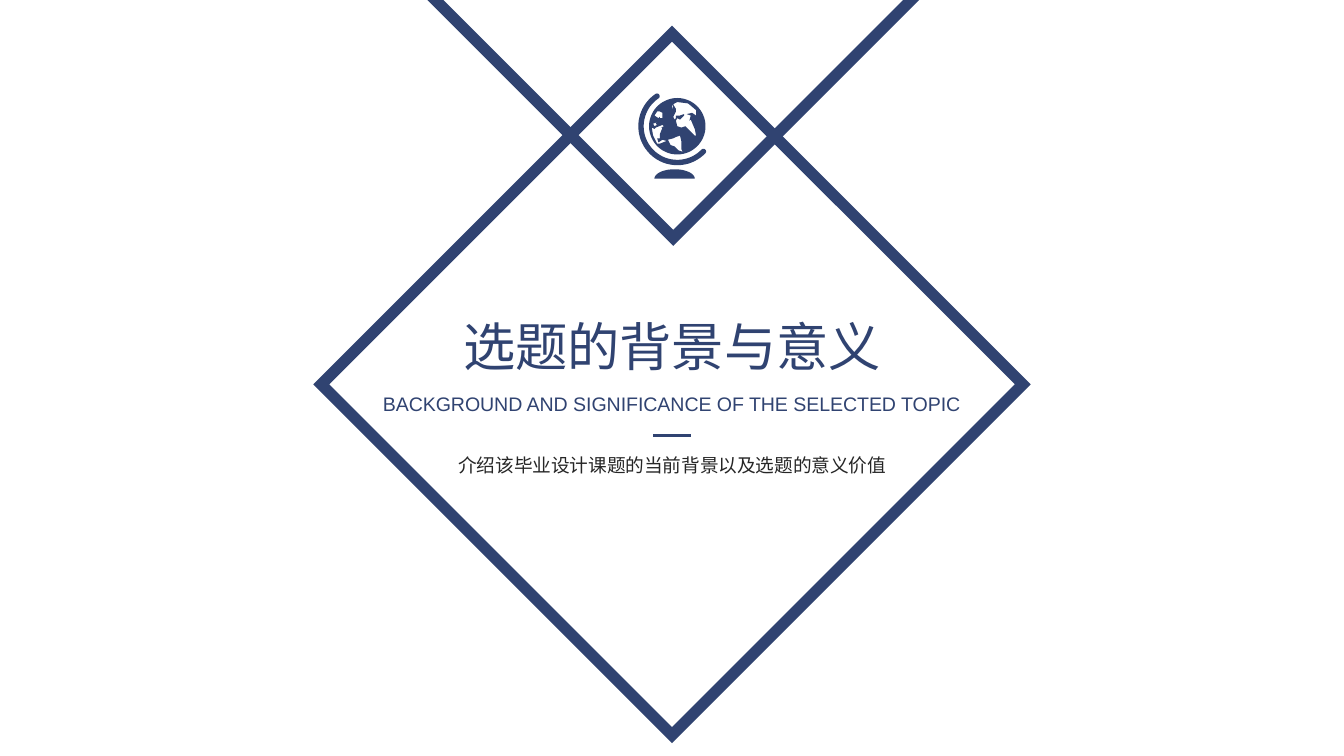
import math
import pptx
import pptx.dml.color
import pptx.enum.shapes
import pptx.enum.text
import pptx.oxml.ns
import pptx.util
from lxml import etree

Inches, Pt = pptx.util.Inches, pptx.util.Pt
NAVY = pptx.dml.color.RGBColor(0x30, 0x43, 0x71)
CHARCOAL = pptx.dml.color.RGBColor(0x26, 0x26, 0x26)
HAN, LATIN = "Noto Sans CJK SC", "Arial"

# Content: text, box, wrap, line spacing, top margin, font format, colour
texts = [
    ("选题的背景与意义", (3.33, 2.29, 3.34, 0.57), False, 1.0, 0,
     {"size": Pt(28), "name": HAN}, NAVY),
    ("BACKGROUND AND SIGNIFICANCE OF THE SELECTED TOPIC", (2.71, 2.86, 4.58, 0.28), False, 1.0, 0,
     {"size": Pt(10.5), "name": LATIN}, NAVY),
    ("介绍该毕业设计课题的当前背景以及选题的意义价值", (3.09, 3.24, 3.82, 0.32), True, 1.5, 0.04,
     {"size": Pt(10), "name": HAN}, CHARCOAL),
]
frame_format = {
    "margin_bottom": 0,
    "vertical_anchor": pptx.enum.text.MSO_ANCHOR.MIDDLE,
    "auto_size": pptx.enum.text.MSO_AUTO_SIZE.SHAPE_TO_FIT_TEXT,
}
diamond_box = (2.39, 0.25, 5.22, 5.22)
triangle = [(2.73, -0.51), (7.29, -0.51), (5.01, 1.77)]
divider = (4.86, 3.24, 5.14, 3.24)

# Globe: centre, radii and the land and sea cut out of the ball
globe_x, globe_y = 5.04, 0.94
ball_radius, arm_radius, arm_half = 0.21, 0.27, 0.02
arm_start, arm_end = 44, 236
cutouts = [
    [(5, 0.82), (5.01, 0.78), (5.03, 0.81), (5.03, 0.83), (5.01, 0.87), (5.02, 0.89),
     (5.03, 0.88), (5.03, 0.86), (5.06, 0.86), (5.09, 0.85), (5.09, 0.86), (5.06, 0.89),
     (5.04, 0.88), (5.03, 0.9), (5.04, 0.94), (5.07, 0.95), (5.1, 0.94), (5.13, 0.97),
     (5.17, 1.01), (5.18, 1.01), (5.17, 0.96), (5.14, 0.89), (5.13, 0.9), (5.14, 0.86),
     (5.11, 0.85), (5.15, 0.84), (5.18, 0.86), (5.18, 0.82), (5.12, 0.77), (5.04, 0.76),
     (5.02, 0.77), (5, 0.79)],
    [(4.97, 1.04), (4.99, 1.08), (5.02, 1.09), (5.05, 1.12), (5.08, 1.13), (5.07, 1.11),
     (5.07, 1.05), (5.06, 1.01), (5.03, 1.02), (5.01, 1.03)],
    [(4.92, 0.95), (4.94, 0.94), (4.93, 0.93), (4.88, 0.95), (4.87, 0.96), (4.85, 0.95),
     (4.86, 1.01), (4.89, 1.07), (4.91, 1.07), (4.96, 1.05), (4.93, 1.04), (4.9, 1.06),
     (4.89, 1.03), (4.91, 1.03), (4.91, 1), (4.93, 0.95)],
    [(4.89, 0.83), (4.87, 0.86), (4.9, 0.88), (4.91, 0.87), (4.91, 0.88), (4.93, 0.88),
     (4.93, 0.84), (4.91, 0.83)],
    [(4.85, 0.93), (4.86, 0.92), (4.87, 0.94), (4.89, 0.93), (4.88, 0.92), (4.89, 0.91),
     (4.86, 0.92)],
]


def arc(x, y, rx, ry, start, end, steps=40):
    angles = [math.radians(start + (end - start) * i / steps) for i in range(steps + 1)]
    return [(x + rx * math.cos(a), y + ry * math.sin(a)) for a in angles]


def arm_cap(angle, turn):
    x = globe_x + arm_radius * math.cos(math.radians(angle))
    y = globe_y + arm_radius * math.sin(math.radians(angle))
    return arc(x, y, arm_half, arm_half, turn, turn + 180, 10)


outer, inner = arm_radius + arm_half, arm_radius - arm_half
arm = (arc(globe_x, globe_y, outer, outer, arm_start, arm_end) + arm_cap(arm_end, arm_end)
       + arc(globe_x, globe_y, inner, inner, arm_end, arm_start)
       + arm_cap(arm_start, arm_start + 180))
foot = arc(5.02, 1.33, 0.15, 0.07, 180, 360)
ball = arc(globe_x, globe_y, ball_radius, ball_radius, 0, 360, 60)

deck = pptx.Presentation()
deck.slide_width = Inches(10)
deck.slide_height = deck.slide_width * 9 // 16
slide = deck.slides.add_slide(deck.slide_layouts[6])


def add_outline(contours):
    first, *others = contours
    builder = slide.shapes.build_freeform(*map(Inches, first[0]))
    builder.add_line_segments([tuple(map(Inches, p)) for p in first[1:]])
    for contour in others:
        builder.move_to(*map(Inches, contour[0]))
        builder.add_line_segments([tuple(map(Inches, p)) for p in contour[1:]])
    return builder.convert_to_shape()


def stroke(line, width):
    line.color.rgb = NAVY
    line.width = Pt(width)


# Headings and description
for words, box, wrap, spacing, top, font_format, color in texts:
    frame = slide.shapes.add_textbox(*map(Inches, box)).text_frame
    for key, value in {**frame_format, "word_wrap": wrap, "margin_top": Inches(top)}.items():
        setattr(frame, key, value)
    paragraph = frame.paragraphs[0]
    paragraph.alignment = pptx.enum.text.PP_ALIGN.CENTER
    paragraph.line_spacing = spacing
    run = paragraph.add_run()
    run.text = words
    for key, value in font_format.items():
        setattr(run.font, key, value)
    run.font.color.rgb = color
    east_asian = etree.SubElement(run.font._element, pptx.oxml.ns.qn("a:ea"))
    east_asian.set("typeface", HAN)

# Short divider
rule = slide.shapes.add_connector(pptx.enum.shapes.MSO_CONNECTOR.STRAIGHT, *map(Inches, divider))
stroke(rule.line, 1.5)
etree.SubElement(rule._element.spPr, pptx.oxml.ns.qn("a:effectLst"))

# Crossing frames with sharp corners
diamond = pptx.enum.shapes.MSO_SHAPE.DIAMOND
for border in (add_outline([triangle]),
               slide.shapes.add_shape(diamond, *map(Inches, diamond_box))):
    border.shadow.inherit = False
    border.fill.background()
    stroke(border.line, 6)
    outline = border._element.spPr.find(pptx.oxml.ns.qn("a:ln"))
    etree.SubElement(outline, pptx.oxml.ns.qn("a:miter")).set("lim", "800000")

# Globe icon
globe = add_outline([foot, ball, *cutouts, arm])
globe.shadow.inherit = False
globe.fill.solid()
globe.fill.fore_color.rgb = NAVY
globe.line.fill.background()

deck.save("out.pptx")
